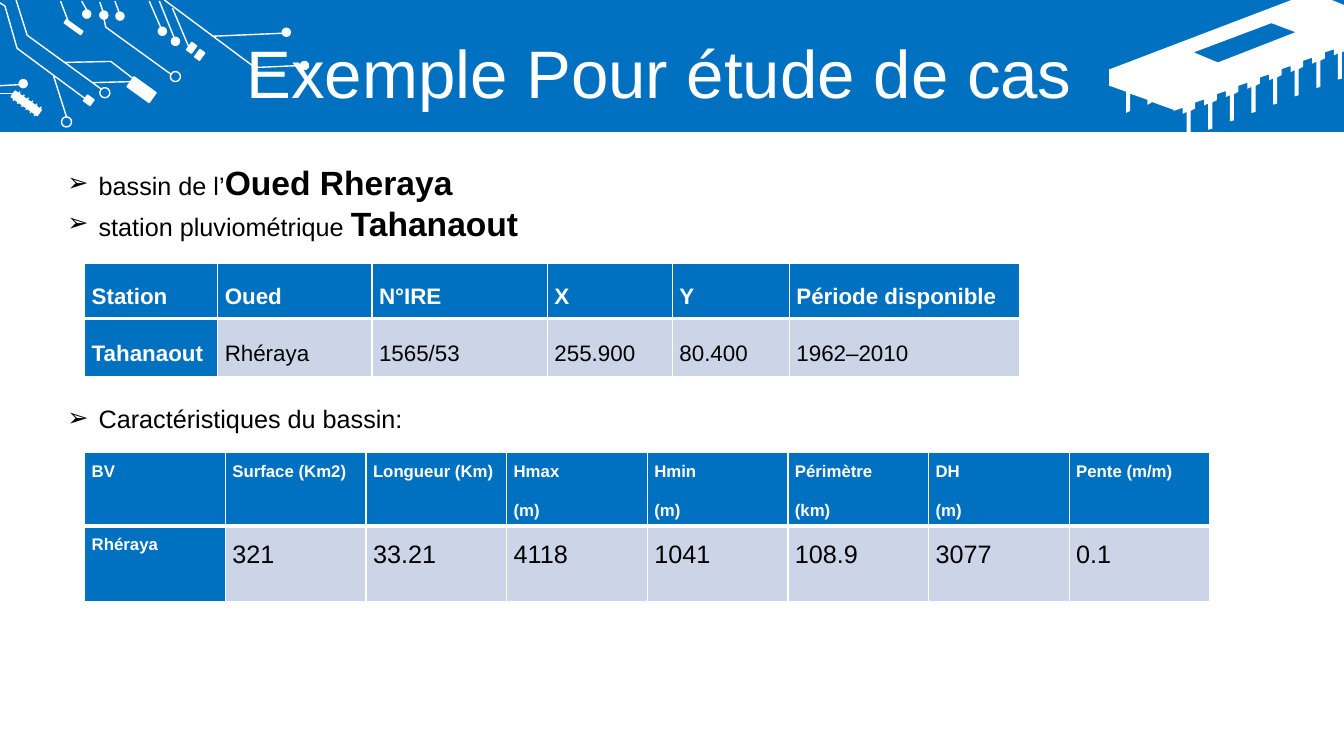
import lxml.etree
import pptx
import pptx.dml.color
import pptx.enum.shapes
import pptx.enum.text
import pptx.oxml.ns
import pptx.util

Inches = pptx.util.Inches
Pt = pptx.util.Pt
RGBColor = pptx.dml.color.RGBColor
ShapeKind = pptx.enum.shapes.MSO_SHAPE
Align = pptx.enum.text.PP_ALIGN
Anchor = pptx.enum.text.MSO_ANCHOR
qn = pptx.oxml.ns.qn

BLUE = RGBColor(0x00, 0x70, 0xC0)
PALE = RGBColor(0xCC, 0xD5, 0xE8)
WHITE = RGBColor(0xFF, 0xFF, 0xFF)
BLACK = RGBColor(0x00, 0x00, 0x00)
FONT = "Arial"
TILT = 35.7

COMPONENTS = [
    (1.27, 0.83, 0.27, 0.12), (0.63, 0.25, 0.2, 0.04), (0.84, 0.96, 0.08, 0.07),
    (1.87, 0.43, 0.06, 0.09), (1.95, 0.5, 0.06, 0.09), (0.1, 0.99, 0.32, 0.07),
]
PADS = [
    (2.98, 0.61), (2.8, 0.28), (0.82, 0.1), (0.99, 0.11), (1.15, 0.12),
    (0.19, 0.79), (1.7, 0.37), (1.57, 0.27),
]
RINGS = [(1.69, 0.71), (0.99, 0.87), (0.61, 1.16)]
WIRES = [
    (0.6, 0.01, 0.68, 0.22), (0.81, 0.01, 0.86, 0.1), (0.99, 0.02, 1.02, 0.11),
    (1.14, 0.01, 1.18, 0.12), (1.48, 0.01, 1.61, 0.31), (1.58, 0.01, 1.73, 0.38),
    (2.1, 0.36, 2.8, 0.33), (1.71, 0.08, 1.87, 0.46), (0, 0.85, 0.19, 0.84),
    (0, 0.93, 0.14, 0.93), (0.53, 0.75, 0.66, 1.16), (0.92, 0.82, 1.3, 0.81),
]
TRACES = [
    [(1.63, 0), (2.53, 0.67), (2.99, 0.65)],
    [(0.16, 0), (0.27, 0.35), (1, 0.88)],
    [(0, 0.03), (0.05, 0.06), (0.17, 0.48), (0.86, 0.99)],
    [(0.64, 0.62), (1.1, 0.61), (1.32, 0.78)],
    [(1.03, 0.18), (1.05, 0.27), (1.7, 0.74)],
]
CHIP_WINDOW = [(12.61, 0.23), (11.84, 0.52), (12.08, 0.62), (12.85, 0.32)]
CHIP_TOP = [(12.81, 0), (13.21, 0), (13.33, 0.05), (13.33, 0.51)]
CHIP_PIN = [
    (0, 0), (0, 0.26), (-0.04, 0.27), (-0.04, 0.01),
    (-0.08, 0.03), (-0.08, -0.03), (-0.17, 0), (-0.17, 0.06),
]
CHIP_END = [
    (11.64, 1.09), (11.42, 1.01), (11.42, 1.02), (11.38, 1.04), (11.38, 0.99),
    (11.21, 0.93), (11.21, 1.1), (11.17, 1.12), (11.17, 0.91), (11, 0.85), (11, 0.69),
]

STATION_ROWS = [
    ["Station", "Oued", "N°IRE", "X", "Y", "Période disponible"],
    ["Tahanaout", "Rhéraya", "1565/53", "255.900", "80.400", "1962–2010"],
]
BASIN_ROWS = [
    ["BV", "Surface (Km2)", "Longueur (Km)", "Hmax\n(m)", "Hmin\n(m)",
     "Périmètre\n(km)", "DH\n(m)", "Pente (m/m)"],
    ["Rhéraya", "321", "33.21", "4118", "1041", "108.9", "3077", "0.1"],
]


def add_span(para, text, size=18, color=BLACK, bold=False):
    """Append formatted text to a paragraph."""
    span = para.add_run()
    span.text = text
    span.font.name = FONT
    span.font.size = Pt(size)
    span.font.bold = bold
    span.font.color.rgb = color


def paint(shape, fill=WHITE, line=WHITE):
    """Set the fill and outline of a shape, None meaning neither."""
    shape.shadow.inherit = False
    if fill is None:
        shape.fill.background()
    else:
        shape.fill.solid()
        shape.fill.fore_color.rgb = fill
    if line is None:
        shape.line.fill.background()
    else:
        shape.line.color.rgb = line
        shape.line.width = Pt(1)


def add_preset(page, kind, left, top, width, height, turn=0, **colors):
    """Add a painted preset shape."""
    shape = page.shapes.add_shape(kind, *map(Inches, (left, top, width, height)))
    shape.rotation = turn
    paint(shape, **colors)


def add_outline(page, contours, closed, **colors):
    """Add a freeform made of one or more contours."""
    builder = None
    for contour in contours:
        points = [(Inches(x), Inches(y)) for x, y in contour]
        if builder is None:
            builder = page.shapes.build_freeform(*points[0])
        else:
            builder.move_to(*points[0])
        builder.add_line_segments(points[1:], close=closed)
    paint(builder.convert_to_shape(), **colors)


def add_wire(page, *ends):
    """Add a thin white straight line."""
    wire = page.shapes.add_connector(
        pptx.enum.shapes.MSO_CONNECTOR.STRAIGHT, *map(Inches, ends))
    wire.line.color.rgb = WHITE
    wire.line.width = Pt(1)
    lxml.etree.SubElement(wire._element.spPr, qn("a:effectLst"))


def add_circuit(page):
    """Draw the circuit traces at the left of the banner."""
    for component in COMPONENTS:
        add_preset(page, ShapeKind.RECTANGLE, *component, turn=TILT)
    for left, top in PADS:
        add_preset(page, ShapeKind.OVAL, left, top, 0.08, 0.08, turn=TILT)
    for left, top in RINGS:
        add_preset(page, ShapeKind.OVAL, left, top, 0.1, 0.1, turn=TILT, fill=None)
    for wire in WIRES:
        add_wire(page, *wire)
    for step in range(6):
        x, y = 0.13 + 0.21 * step / 5, 1 + 0.03 * step
        add_wire(page, x, y, x + 0.07, y - 0.09)
    for trace in TRACES:
        add_outline(page, [trace], False, fill=None)


def add_chip(page):
    """Draw the chip with its row of pins at the right of the banner."""
    pins = [(13.31 - 1.5 * step / 7 + x, 0.52 + 0.58 * step / 7 + y)
            for step in range(8) for x, y in CHIP_PIN]
    edge = CHIP_TOP + pins[:-1] + CHIP_END
    add_outline(page, [CHIP_WINDOW, edge], True, line=None)


def add_text_box(page, left, top, width, height):
    """Add a wrapping text box and return its frame."""
    box = page.shapes.add_textbox(*map(Inches, (left, top, width, height)))
    box.text_frame.word_wrap = True
    return box.text_frame


def add_bullets(page, top, height, items):
    """Add a list of (plain, strong) text pairs with arrow bullets."""
    frame = add_text_box(page, 0.57, top, 11.75, height)
    for index, (plain, strong) in enumerate(items):
        para = frame.add_paragraph() if index else frame.paragraphs[0]
        properties = para._p.get_or_add_pPr()
        properties.set("marL", str(Inches(0.31)))
        properties.set("indent", str(-Inches(0.31)))
        lxml.etree.SubElement(properties, qn("a:buFont")).set("typeface", FONT)
        lxml.etree.SubElement(properties, qn("a:buChar")).set("char", "➢")
        add_span(para, plain)
        if strong:
            add_span(para, strong, size=24, bold=True)


def add_borders(cell, **widths):
    """Set white cell borders with widths in points by side."""
    properties = cell._tc.get_or_add_tcPr()
    for side in "LRTB":
        line = lxml.etree.SubElement(properties, qn("a:ln" + side))
        line.set("w", str(Pt(widths.get(side, 1))))
        fill = lxml.etree.SubElement(line, qn("a:solidFill"))
        lxml.etree.SubElement(fill, qn("a:srgbClr")).set("val", str(WHITE))


def add_data_table(page, top, widths, heights, rows, head_size, body_size, anchor):
    """Add a table with a blue header row and first column."""
    table = page.shapes.add_table(
        len(rows), len(widths), Inches(0.84), Inches(top),
        Inches(sum(widths)), Inches(sum(heights))).table
    table.horz_banding = False
    for column, width in zip(table.columns, widths):
        column.width = Inches(width)
    for r, texts in enumerate(rows):
        table.rows[r].height = Inches(heights[r])
        for c, text in enumerate(texts):
            cell = table.cell(r, c)
            head = r == 0 or c == 0
            add_borders(cell, **({"T": 3} if r else {"B": 3}))
            cell.fill.solid()
            cell.fill.fore_color.rgb = BLUE if head else PALE
            cell.vertical_anchor = anchor
            cell.margin_left = cell.margin_right = Inches(0.07)
            cell.margin_top = cell.margin_bottom = 0
            for index, part in enumerate(text.split("\n")):
                frame = cell.text_frame
                para = frame.add_paragraph() if index else frame.paragraphs[0]
                para.alignment = Align.JUSTIFY
                para.line_spacing = 1.5
                para.space_after = Pt(8)
                add_span(para, part, size=head_size if head else body_size,
                         color=WHITE if head else BLACK, bold=head)


def add_title(page, text):
    """Add the centred title on the banner."""
    frame = add_text_box(page, 1.49, 0.41, 10.1, 0.7)
    frame.vertical_anchor = Anchor.MIDDLE
    para = frame.paragraphs[0]
    para.alignment = Align.CENTER
    para.line_spacing = 0.9
    add_span(para, text, size=48, color=WHITE)


def main():
    """Build and save the slide."""
    deck = pptx.Presentation()
    deck.slide_width, deck.slide_height = Inches(13.33), Inches(7.5)
    page = deck.slides.add_slide(deck.slide_layouts[6])
    add_preset(page, ShapeKind.RECTANGLE, 0, 0, 13.33, 1.31, fill=BLUE, line=None)
    add_chip(page)
    add_circuit(page)
    add_title(page, "Exemple Pour étude de cas")
    add_bullets(page, 1.56, 0.9, [("bassin de l’", "Oued Rheraya"),
                                  ("station pluviométrique ", "Tahanaout")])
    add_data_table(page, 2.61, [1.32, 1.53, 1.74, 1.24, 1.16, 2.28], [0.55, 0.58],
                   STATION_ROWS, 16, 16, Anchor.MIDDLE)
    add_bullets(page, 3.95, 0.4, [("Caractéristiques du bassin:", "")])
    add_data_table(page, 4.49, [11.16 / 8] * 8, [0.73, 0.75],
                   BASIN_ROWS, 12, 18, Anchor.TOP)
    deck.save("out.pptx")


if __name__ == "__main__":
    main()
